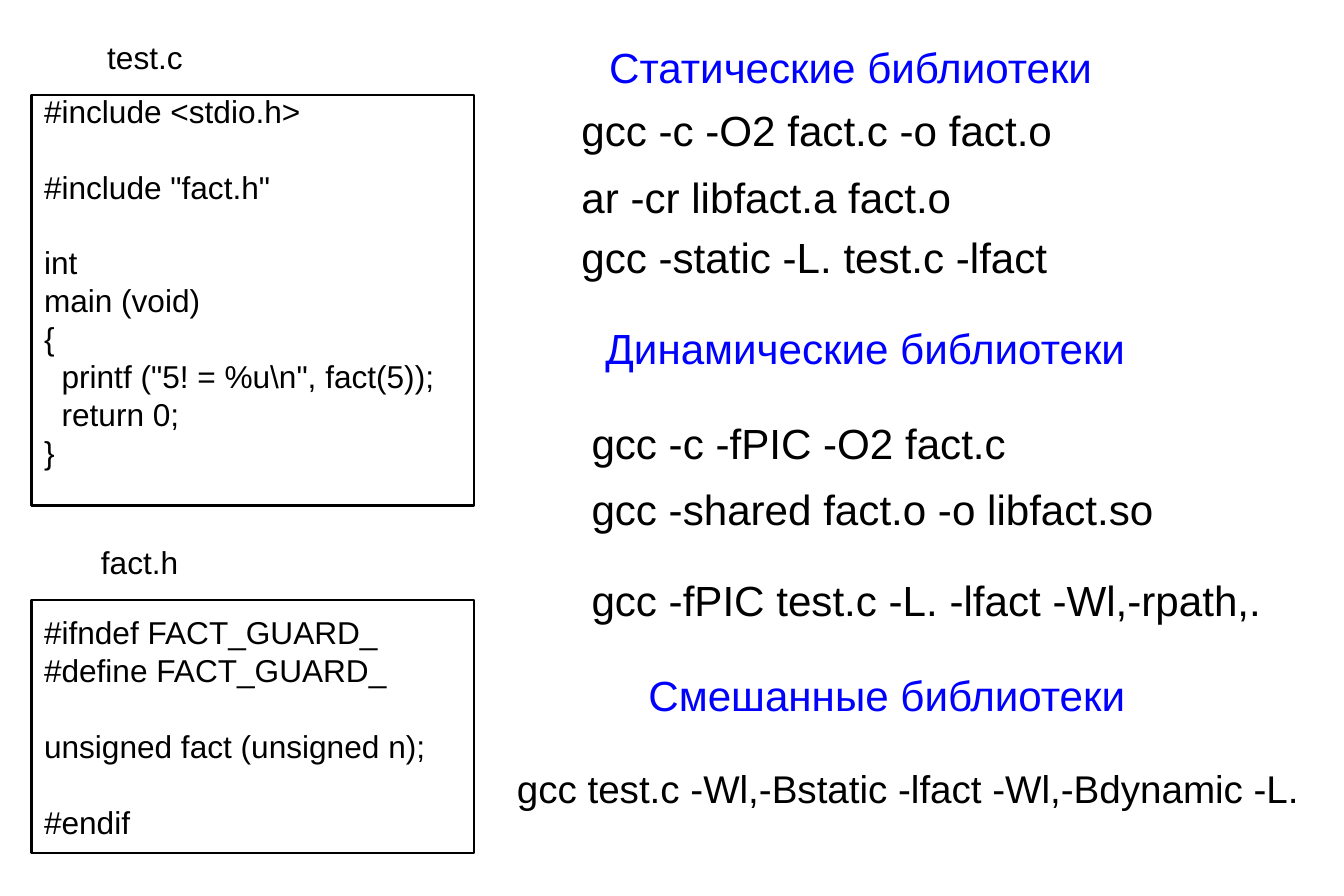
from dataclasses import dataclass

from pptx import Presentation
from pptx.dml.color import RGBColor
from pptx.enum.shapes import MSO_SHAPE
from pptx.enum.text import MSO_ANCHOR, PP_ALIGN
from pptx.util import Inches, Pt


@dataclass(frozen=True)
class Theme:
    font: str = "Arial"
    ink: RGBColor = RGBColor(0, 0, 0)
    heading: RGBColor = RGBColor(0, 0, 255)
    paper: RGBColor = RGBColor(255, 255, 255)
    code_size: int = 18
    command_size: int = 24
    long_command_size: int = 22
    leading: float = 1.2
    border: float = 1.45


THEME = Theme()
SLIDE_WIDTH, SLIDE_HEIGHT = 10.63, 7.09

# Content: each listing is a list of blocks parted by one empty line
TEST_C = [
    ["#include <stdio.h>"],
    ['#include "fact.h"'],
    ["int", "main (void)", "{",
     "\tprintf (\"5! = %u\\n\", fact(5));", "\treturn 0;", "}"],
]
FACT_H = [
    ["#ifndef FACT_GUARD_", "#define FACT_GUARD_"],
    ["unsigned fact (unsigned n);"],
    ["#endif"],
]

# File name, label left and width, box top and height, empty lines at the end, blocks
LISTINGS = [
    ("test.c", 0.75, 0.8, 0.75, 3.25, 1, TEST_C),
    ("fact.h", 0.7, 0.81, 4.75, 2, 0, FACT_H),
]

# Heading with left, top and width; left edge and size of its commands; (top, command)
SECTIONS = [
    ("Статические библиотеки", 4.72, 0.28, 4.03, 4.5, THEME.command_size, [
        (0.78, "gcc -c -O2 fact.c -o fact.o"),
        (1.31, "ar -cr libfact.a fact.o"),
        (1.78, "gcc -static -L. test.c -lfact"),
    ]),
    ("Динамические библиотеки", 4.69, 2.5, 4.31, 4.58, THEME.command_size, [
        (3.25, "gcc -c -fPIC -O2 fact.c"),
        (3.78, "gcc -shared fact.o -o libfact.so"),
        (4.5, "gcc -fPIC test.c -L. -lfact -Wl,-rpath,."),
    ]),
    ("Смешанные библиотеки", 5.03, 5.25, 3.97, 3.99, THEME.long_command_size, [
        (6, "gcc test.c -Wl,-Bstatic -lfact -Wl,-Bdynamic -L."),
    ]),
]

# Layout
BOX_LEFT, BOX_WIDTH = 0.25, 3.5
COMMAND_RIGHT = 10.5
LABEL_RISE = 0.5
CODE_LINE = THEME.code_size * THEME.leading
CODE_INDENT = 10


def write(paragraph, text, size=THEME.code_size, color=THEME.ink, before=0, indent=0):
    """Put formatted text into a paragraph."""
    paragraph.alignment = PP_ALIGN.LEFT
    paragraph.line_spacing = Pt(size * THEME.leading)
    paragraph.space_before = Pt(before)
    if indent:
        paragraph._p.get_or_add_pPr().set("marL", str(Pt(indent)))
    run = paragraph.add_run()
    run.text = text
    run.font.name = THEME.font
    run.font.size = Pt(size)
    run.font.color.rgb = color


def add_line(slide, text, left, top, width, size, wrap=False, **text_format):
    """Add a one-line text box."""
    height = size * THEME.leading / 72 + 0.1
    shape = slide.shapes.add_textbox(*map(Inches, (left, top, width, height)))
    shape.text_frame.word_wrap = wrap
    write(shape.text_frame.paragraphs[0], text, size=size, **text_format)


def add_listing(slide, blocks, top, height, empty_end):
    """Add a framed source listing."""
    shape = slide.shapes.add_shape(
        MSO_SHAPE.RECTANGLE, *map(Inches, (BOX_LEFT, top, BOX_WIDTH, height)))
    shape.shadow.inherit = False
    shape.fill.solid()
    shape.fill.fore_color.rgb = THEME.paper
    shape.line.color.rgb = THEME.ink
    shape.line.width = Pt(THEME.border)

    frame = shape.text_frame
    frame.word_wrap = True
    frame.vertical_anchor = MSO_ANCHOR.MIDDLE
    frame.margin_bottom = Inches(0.05) + Pt(empty_end * CODE_LINE)
    paragraph = frame.paragraphs[0]
    for block_index, block in enumerate(blocks):
        for line_index, line in enumerate(block):
            if block_index or line_index:
                paragraph = frame.add_paragraph()
            starts_block = block_index > 0 and line_index == 0
            write(paragraph, line.lstrip("\t"),
                  before=CODE_LINE if starts_block else 0,
                  indent=CODE_INDENT * line.count("\t"))


def main():
    presentation = Presentation()
    presentation.slide_width = Inches(SLIDE_WIDTH)
    presentation.slide_height = Inches(SLIDE_HEIGHT)
    slide = presentation.slides.add_slide(presentation.slide_layouts[6])

    # Source files on the left
    for name, left, width, top, height, empty_end, blocks in LISTINGS:
        add_line(slide, name, left, top - LABEL_RISE, width, THEME.code_size)
        add_listing(slide, blocks, top, height, empty_end)

    # Build commands on the right
    for heading, left, top, width, command_left, size, commands in SECTIONS:
        add_line(slide, heading, left, top, width, THEME.command_size,
                 color=THEME.heading)
        for command_top, command in commands:
            add_line(slide, command, command_left, command_top,
                     COMMAND_RIGHT - command_left, size, wrap=True)

    presentation.save("out.pptx")


if __name__ == "__main__":
    main()
